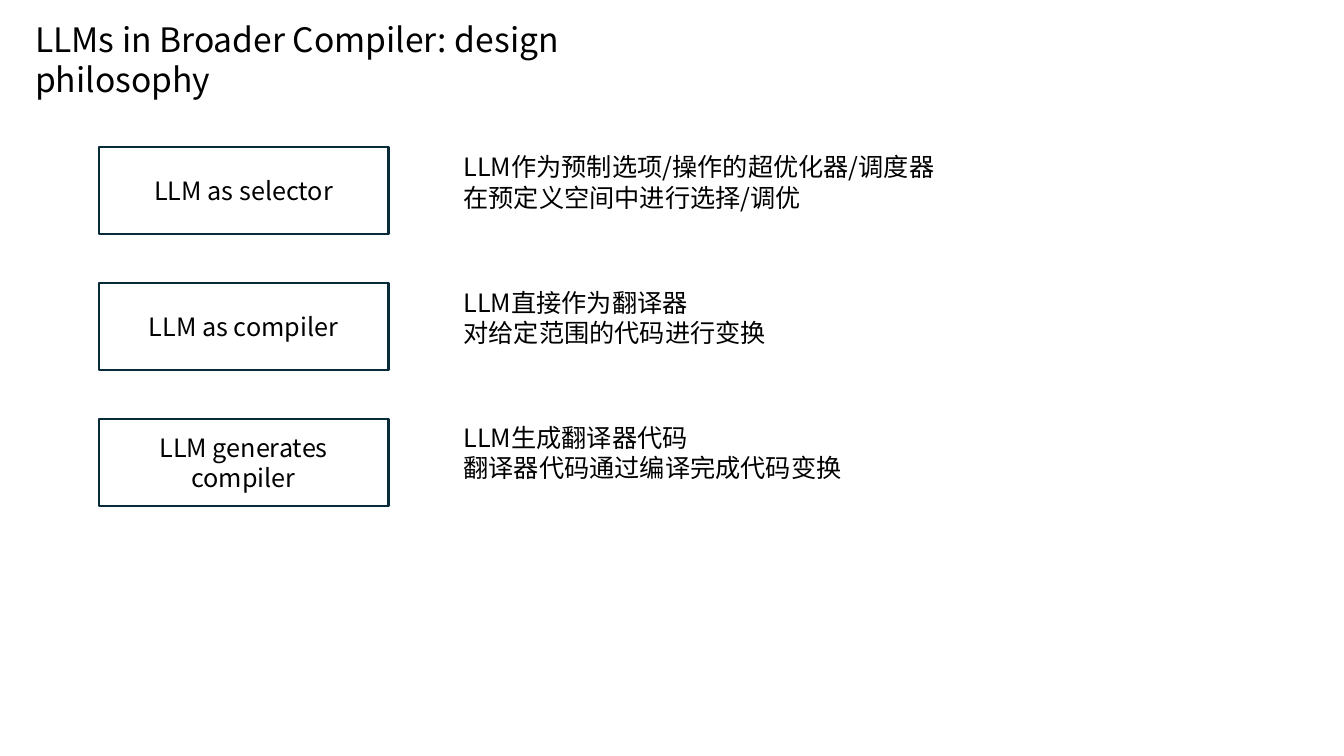
from pptx import Presentation
from pptx.dml.color import RGBColor
from pptx.enum.shapes import MSO_SHAPE
from pptx.enum.text import MSO_ANCHOR, PP_ALIGN
from pptx.oxml.ns import qn
from pptx.util import Pt
from lxml import etree

RECT = MSO_SHAPE.RECTANGLE
MIDDLE = MSO_ANCHOR.MIDDLE
LEFT, CENTER = PP_ALIGN.LEFT, PP_ALIGN.CENTER
FONT = "Noto Sans CJK SC"


def color(code):
    return RGBColor.from_string(code)


def write(shape, text, size, lead, align=LEFT):
    frame = shape.text_frame
    frame.word_wrap = True
    frame.text = text
    for para in frame.paragraphs:
        para.alignment = align
        para.line_spacing = Pt(lead)
        for run in para.runs:
            run.font.size = Pt(size)
            run.font.name = FONT
            run.font.color.rgb = color("000000")
            east = etree.SubElement(run.font._element, qn("a:ea"))
            east.set("typeface", FONT)


deck = Presentation()
deck.slide_width, deck.slide_height = Pt(960), Pt(540)
slide = deck.slides.add_slide(deck.slide_layouts[6])
shapes = slide.shapes

title = shapes.add_textbox(Pt(18), Pt(10), Pt(486), Pt(36))
write(title, "LLMs in Broader Compiler: design philosophy", 24, 28.6)

roles = [
    ("LLM as selector", 370,
     "LLM作为预制选项/操作的超优化器/调度器\n在预定义空间中进行选择/调优"),
    ("LLM as compiler", 345.6,
     "LLM直接作为翻译器\n对给定范围的代码进行变换"),
    ("LLM generates compiler", 345.6,
     "LLM生成翻译器代码\n翻译器代码通过编译完成代码变换"),
]

for row, (label, width, detail) in enumerate(roles):
    box = shapes.add_shape(RECT, Pt(70.5), Pt(105.3 + 97 * row), Pt(207), Pt(62))
    box.shadow.inherit = False
    box.fill.background()
    box.line.color.rgb = color("092A39")
    box.line.width = Pt(1.5)
    box.text_frame.vertical_anchor = MIDDLE
    write(box, label, 18, 21.5, CENTER)

    note = shapes.add_textbox(Pt(324), Pt(105 + 96.5 * row), Pt(width), Pt(51))
    write(note, detail, 18, 21.5)

deck.save("out.pptx")
